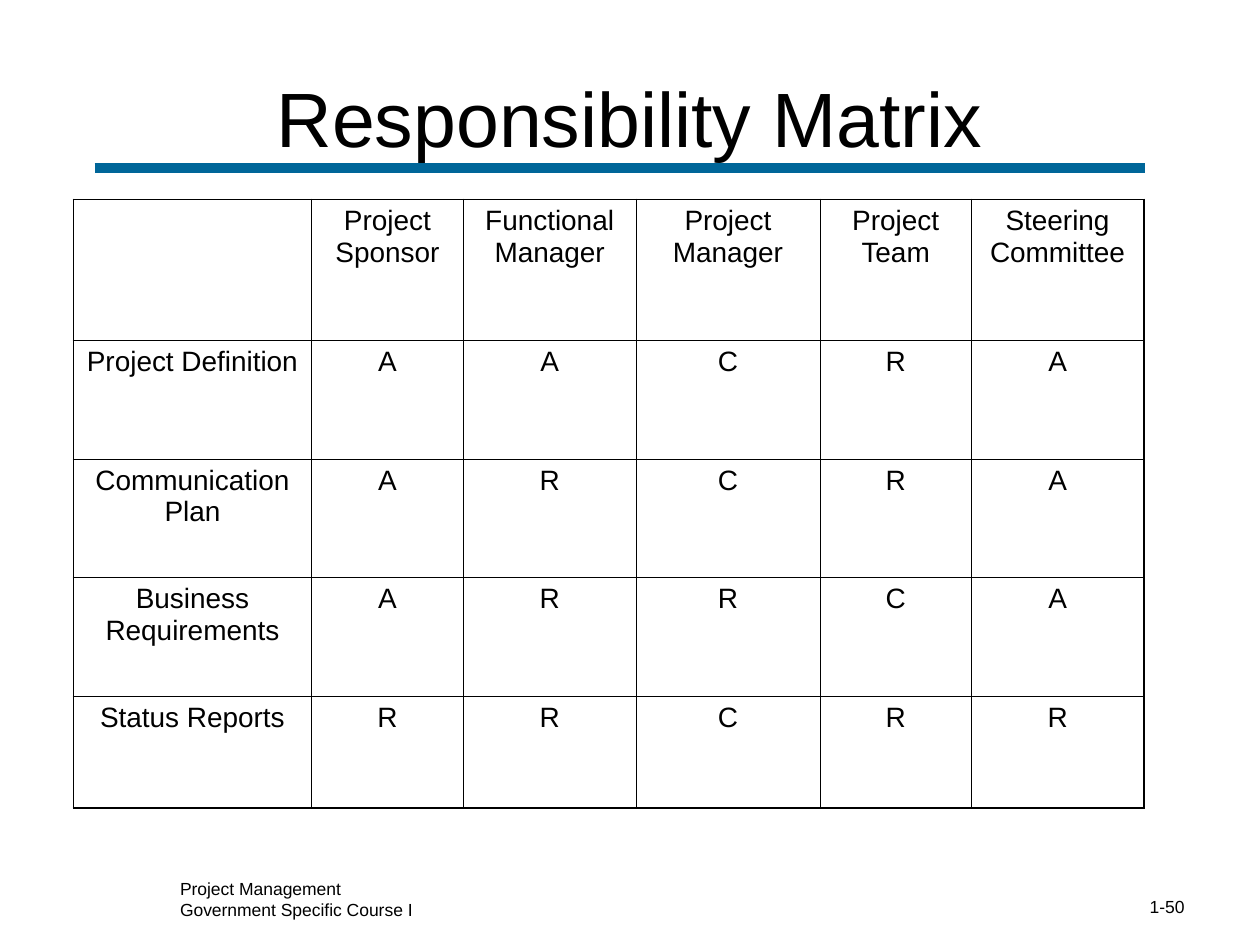
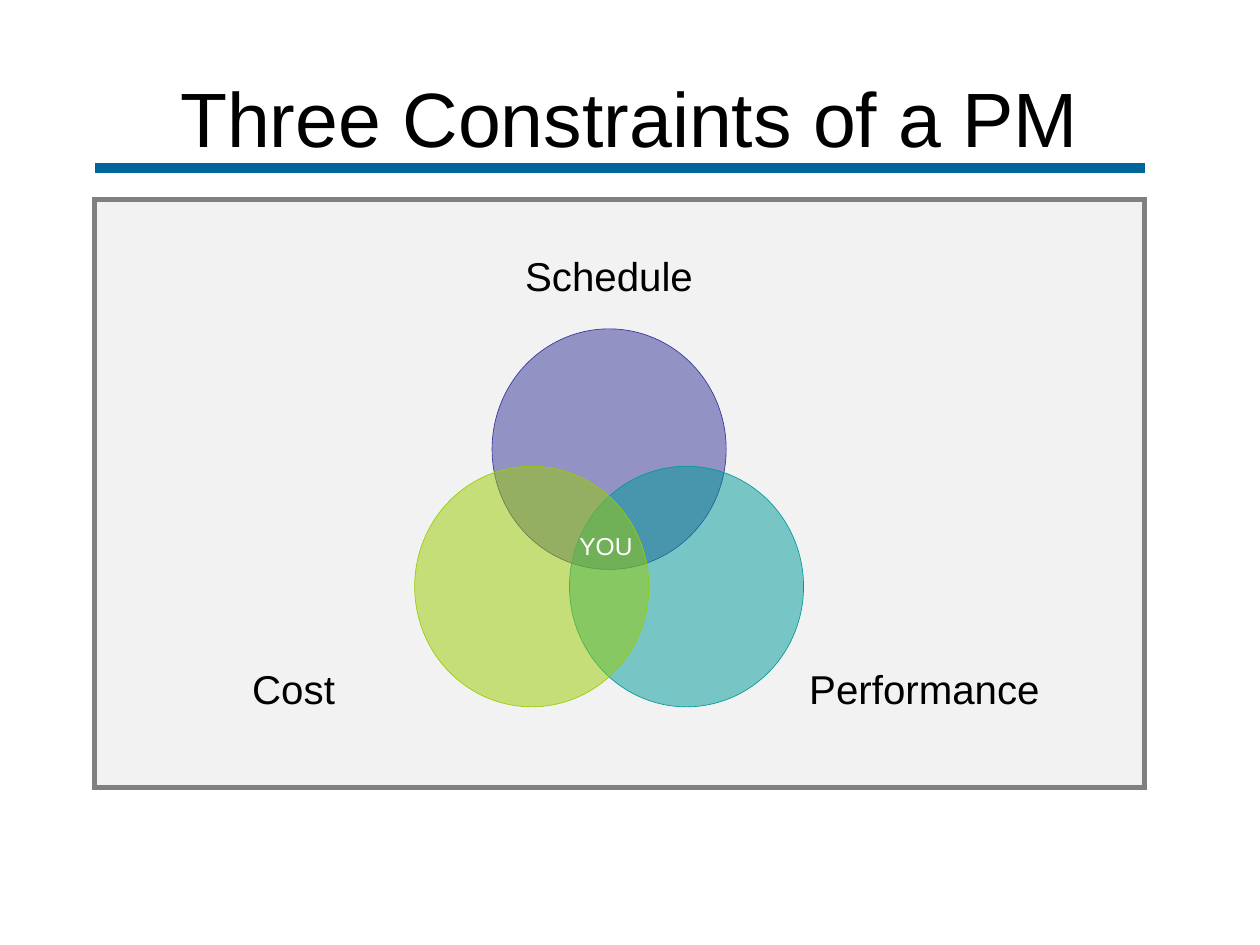
"""Build two project management slides: a responsibility matrix and the three constraints."""
from lxml import etree
from pptx import Presentation, util as u
from pptx.dml.color import RGBColor
from pptx.enum import shapes, text
from pptx.oxml import ns

COLORS = {"ink": "000000", "white": "FFFFFF", "rule": "006699", "panel": "C0C0C0", "frame": "808080",
          "schedule": "333399", "performance": "009999", "cost": "99CC00"}
FONT = "Arial"
LEFT, CENTER, RIGHT = text.PP_ALIGN.LEFT, text.PP_ALIGN.CENTER, text.PP_ALIGN.RIGHT
MIDDLE = text.MSO_ANCHOR.MIDDLE


def write(frame, lines, size, align, color="ink"):
    for number, line in enumerate(lines):
        paragraph = frame.add_paragraph() if number else frame.paragraphs[0]
        paragraph.text = line
        paragraph.alignment = align
        paragraph.font.name = FONT
        paragraph.font.size = u.Pt(size)
        paragraph.font.color.rgb = RGBColor.from_string(COLORS[color])


def add_tinted(slide, preset, box, color, line_color, line_width, opacity):
    area = slide.shapes.add_shape(preset, *map(u.Cm, box))
    area.shadow.inherit = False
    area.fill.solid()
    area.fill.fore_color.rgb = RGBColor.from_string(COLORS[color])
    tint = area.fill._xPr.find(".//" + ns.qn("a:srgbClr"))
    etree.SubElement(tint, ns.qn("a:alpha"), val=str(opacity * 1000))
    area.line.color.rgb = RGBColor.from_string(COLORS[line_color])
    area.line.width = u.Pt(line_width)
    etree.SubElement(area.line._get_or_add_ln(), ns.qn("a:miter"), lim="800000")


deck = Presentation()
deck.slide_width, deck.slide_height = u.Cm(25.4), u.Cm(19.05)

slides = []
for heading in ["Responsibility Matrix", "Three Constraints of a PM"]:
    slide = deck.slides.add_slide(deck.slide_layouts[6])
    rule = slide.shapes.add_connector(shapes.MSO_CONNECTOR.STRAIGHT,
                                      u.Cm(1.91), u.Cm(3.39), u.Cm(23.08), u.Cm(3.39))
    rule.line.color.rgb = RGBColor.from_string(COLORS["rule"])
    rule.line.width = u.Pt(6)
    etree.SubElement(rule._element.spPr, ns.qn("a:effectLst"))
    title = slide.shapes.add_textbox(u.Cm(1.27), u.Cm(0.76), u.Cm(22.86), u.Cm(3.18)).text_frame
    title.word_wrap = True
    title.vertical_anchor = MIDDLE
    write(title, [heading], 44, CENTER)
    slides.append(slide)
matrix_slide, constraints_slide = slides

duties = [
    ["", "Project Sponsor", "Functional Manager", "Project Manager", "Project Team", "Steering Committee"],
    ["Project Definition", "A", "A", "C", "R", "A"],
    ["Communication Plan", "A", "R", "C", "R", "A"],
    ["Business Requirements", "A", "R", "R", "C", "A"],
    ["Status Reports", "R", "R", "C", "R", "R"],
]
role_widths = [4.8, 3.06, 3.48, 3.71, 3.05, 3.48]
duty_heights = [2.84, 2.39, 2.39, 2.39, 2.26]
matrix = matrix_slide.shapes.add_table(
    len(duties), len(role_widths), u.Cm(1.48), u.Cm(4.02),
    u.Cm(sum(role_widths)), u.Cm(sum(duty_heights))).table
matrix.first_row = matrix.horz_banding = False
for column, width in zip(matrix.columns, role_widths):
    column.width = u.Cm(width)
for row, height in zip(matrix.rows, duty_heights):
    row.height = u.Cm(height)

last_row, last_column = len(duties) - 1, len(role_widths) - 1
for r, duty in enumerate(duties):
    for c, entry in enumerate(duty):
        cell = matrix.cell(r, c)
        write(cell.text_frame, [entry], 16, CENTER)
        outer_sides = {"lnL": c == 0, "lnR": c == last_column, "lnT": r == 0, "lnB": r == last_row}
        properties = cell._tc.get_or_add_tcPr()
        for side, outer in outer_sides.items():
            border = etree.SubElement(properties, ns.qn("a:" + side), w=str(u.Pt(1.08 if outer else 0.45)))
            stroke = etree.SubElement(border, ns.qn("a:solidFill"))
            etree.SubElement(stroke, ns.qn("a:srgbClr"), val=COLORS["ink"])
        cell.fill.background()

footers = [
    ((18.21, 17.94, 5.92, 0.76), ["1-50"], RIGHT),
    ((3.38, 17.58, 9.09, 1.09), ["Project Management", "Government Specific Course I"], LEFT),
]
for box, lines, align in footers:
    footer = matrix_slide.shapes.add_textbox(*map(u.Cm, box)).text_frame
    footer.word_wrap = True
    write(footer, lines, 10, align)

add_tinted(constraints_slide, shapes.MSO_SHAPE.RECTANGLE, (1.91, 4.02, 21.17, 11.85),
           "panel", "frame", 3, 20)

circle_width, circle_height, venn_left = 4.72, 4.85, 9.92
constraints = [("Schedule", 0, 6.63, 4.95), ("Performance", 1, 9.4, 13.26), ("Cost", -1, 9.4, 13.26)]
for name, side, circle_top, label_top in constraints:
    add_tinted(constraints_slide, shapes.MSO_SHAPE.OVAL,
               (venn_left + 1.56 * side, circle_top, circle_width, circle_height),
               name.lower(), name.lower(), 0.37, 50)
    label = constraints_slide.shapes.add_textbox(
        u.Cm(venn_left + 6.36 * side), u.Cm(label_top), u.Cm(circle_width), u.Cm(1.22)).text_frame
    label.margin_left = label.margin_right = label.margin_top = label.margin_bottom = 0
    label.word_wrap = False
    label.vertical_anchor = MIDDLE
    write(label, [name], 23, CENTER)

you = constraints_slide.shapes.add_textbox(u.Cm(11.43), u.Cm(10.59), u.Cm(1.8), u.Cm(0.86)).text_frame
you.word_wrap = False
write(you, ["YOU"], 14, LEFT, "white")

deck.save("out.pptx")
